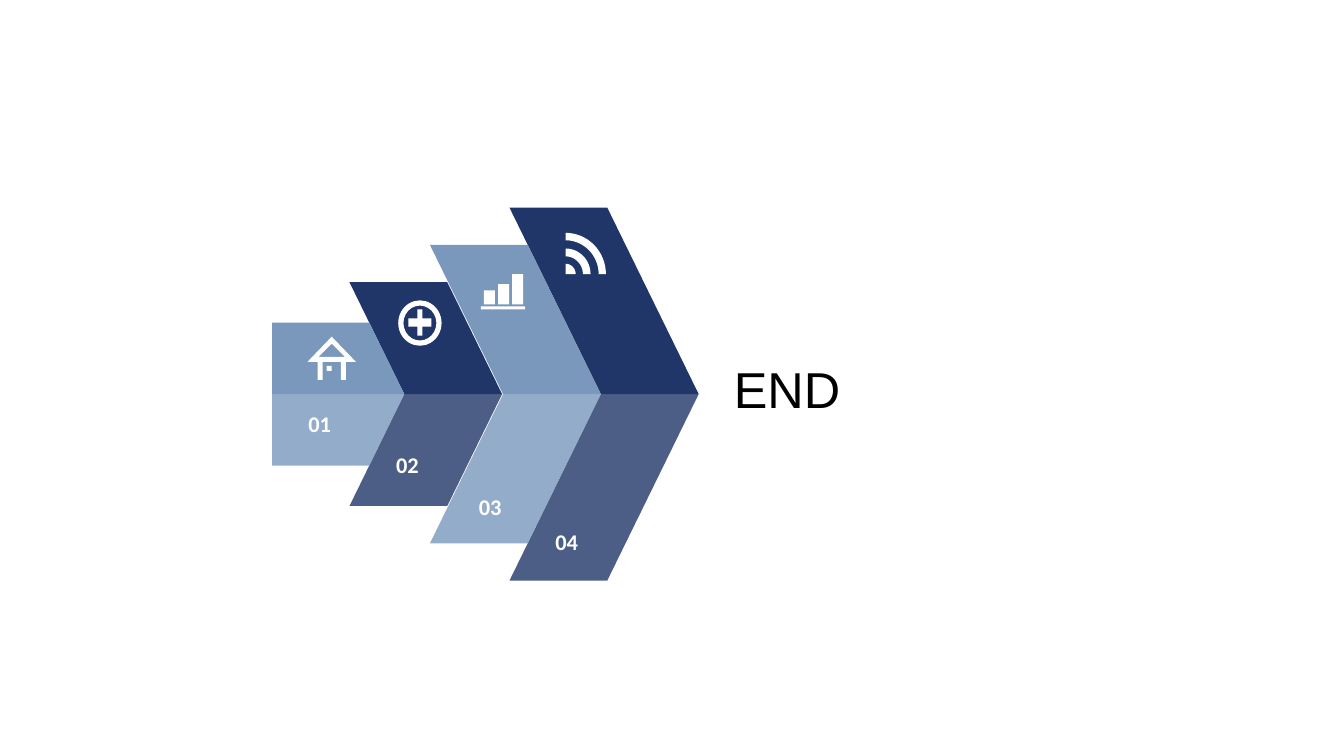
from collections import namedtuple
from math import cos, pi, sin

from lxml.etree import SubElement
from pptx import Presentation
from pptx.dml.color import RGBColor
from pptx.enum.shapes import MSO_SHAPE as Preset
from pptx.enum.text import MSO_AUTO_SIZE as AutoSize
from pptx.oxml.ns import qn
from pptx.util import Inches, Pt

COLORS = {"navy": "213668", "steel": "7998BC", "white": "FFFFFF", "black": "000000"}
Box = namedtuple("Box", "left top width height")
Band = namedtuple("Band", "label tip half_height color label_left label_top")

BAND_WIDTH = 0.97
SLANT = 0.49  # horizontal run per unit of height
BANDS = [
    Band("01", 1.31, 0.71, "steel", 0.26, 1.96),
    Band("02", 2.28, 1.11, "navy", 1.13, 2.37),
    Band("03", 3.26, 1.48, "steel", 1.95, 2.78),
    Band("04", 4.23, 1.85, "navy", 2.71, 3.13),
]
LABEL_FORMAT = {"name": "Calibri", "size": Pt(16), "bold": True}
END_FORMAT = {"name": "Arial", "size": Pt(36), "bold": False}


def paint(shape, color, alpha=None):
    shape.shadow.inherit = False
    shape.line.fill.background()
    shape.fill.solid()
    shape.fill.fore_color.rgb = RGBColor.from_string(COLORS[color])
    if alpha is not None:
        tint = shape.fill._xPr.find(".//" + qn("a:srgbClr"))
        SubElement(tint, qn("a:alpha")).set("val", str(alpha * 1000))


def draw_outline(slide, box, contours, color, alpha=None):
    """Draw closed contours whose points are offsets from the box corner."""
    placed = [[(Inches(box.left + x), Inches(box.top + y)) for x, y in contour]
              for contour in contours]
    builder = slide.shapes.build_freeform(*placed[0][0])
    for index, contour in enumerate(placed):
        if index:
            builder.move_to(*contour[0])
        builder.add_line_segments(contour[1:], close=True)
    paint(builder.convert_to_shape(), color, alpha)


def draw_preset(slide, preset, box, adjustment=None):
    shape = slide.shapes.add_shape(preset, *map(Inches, box))
    if adjustment is not None:
        shape.adjustments[0] = adjustment
    paint(shape, "white")


def write_text(slide, box, text, color, font_format, wrap, auto_size):
    frame = slide.shapes.add_textbox(*map(Inches, box)).text_frame
    frame.word_wrap = wrap
    frame.auto_size = auto_size
    run = frame.paragraphs[0].add_run()
    run.text = text
    run.font.color.rgb = RGBColor.from_string(COLORS[color])
    for attribute, value in font_format.items():
        setattr(run.font, attribute, value)


def draw_arrow(slide, box):
    """Nested bands, the tallest at the back, each with a pale lower half."""
    axis = box.height / 2
    for band in reversed(BANDS):
        right = band.tip - SLANT * band.half_height
        left = max(right - BAND_WIDTH, 0)
        notch = max(band.tip - BAND_WIDTH, 0)
        if band is BANDS[0]:
            left = notch = 0
        for direction, alpha in ((-1, None), (1, 80)):
            edge = axis + direction * band.half_height
            half = [(left, edge), (right, edge), (band.tip, axis), (notch, axis)]
            draw_outline(slide, box, [half], band.color, alpha)


def draw_labels(slide, box):
    for band in BANDS:
        label = Box(box.left + band.label_left, box.top + band.label_top, 0.48, 0.37)
        write_text(slide, label, band.label, "white", LABEL_FORMAT, False, AutoSize.NONE)


def draw_house(slide, box):
    middle, eaves = box.width / 2, 0.25
    wall, door = 0.14, 0.09  # half-widths of the walls, outside and inside
    outside = [(middle, 0), (box.width, eaves), (middle + wall, eaves),
               (middle + wall, box.height), (middle + door, box.height),
               (middle + door, eaves), (middle - door, eaves),
               (middle - door, box.height), (middle - wall, box.height),
               (middle - wall, eaves), (0, eaves)]
    gable = [(middle - 0.13, 0.2), (middle, 0.07), (middle + 0.13, 0.2)]
    window = [(0.19, 0.29), (0.24, 0.29), (0.24, 0.34), (0.19, 0.34)]
    draw_outline(slide, box, [outside, gable, window], "white")


def draw_plus(slide, box):
    draw_preset(slide, Preset.DONUT, box, 0.12)
    inset = 0.1
    plus = Box(box.left + inset, box.top + inset - 0.01,
               box.width - 2 * inset, box.height - 2 * inset + 0.01)
    draw_preset(slide, Preset.CROSS, plus, 0.39)


def draw_bars(slide, box):
    base = 0.03
    draw_preset(slide, Preset.RECTANGLE,
                Box(box.left, box.top + box.height - base, box.width, base))
    floor = box.top + 0.3
    for index, height in enumerate((0.14, 0.2, 0.3)):
        bar_left = box.left + 0.03 + 0.14 * index
        draw_preset(slide, Preset.RECTANGLE, Box(bar_left, floor - height, 0.11, height))


def draw_signal(slide, box):
    """Quarter rings around the lower left corner of the box."""
    def quarter(radius):
        angles = [pi / 2 * step / 16 for step in range(17)]
        return [(radius * box.width * cos(angle), box.height * (1 - radius * sin(angle)))
                for angle in angles]

    rings = [quarter(outer) + quarter(inner)[::-1]
             for outer, inner in ((0.25, 0), (0.62, 0.43), (1, 0.82))]
    draw_outline(slide, box, rings, "white")


def draw_end(slide, box):
    write_text(slide, box, "END", "black", END_FORMAT, True, AutoSize.SHAPE_TO_FIT_TEXT)


def main():
    deck = Presentation()
    deck.slide_width, deck.slide_height = Inches(13.33), Inches(7.5)
    slide = deck.slides.add_slide(deck.slide_layouts[6])

    # Arrow of four bands
    arrow = Box(2.7, 2.06, 4.23, 3.7)
    draw_arrow(slide, arrow)

    # Icons on the upper halves
    draw_signal(slide, Box(5.61, 2.31, 0.4, 0.41))
    draw_plus(slide, Box(3.95, 2.98, 0.43, 0.45))
    draw_house(slide, Box(3.05, 3.34, 0.48, 0.43))
    draw_bars(slide, Box(4.77, 2.72, 0.44, 0.35))

    # Numbers on the lower halves and closing word
    draw_labels(slide, arrow)
    draw_end(slide, Box(7.18, 3.5, 3.1, 0.71))
    deck.save("out.pptx")


if __name__ == "__main__":
    main()
